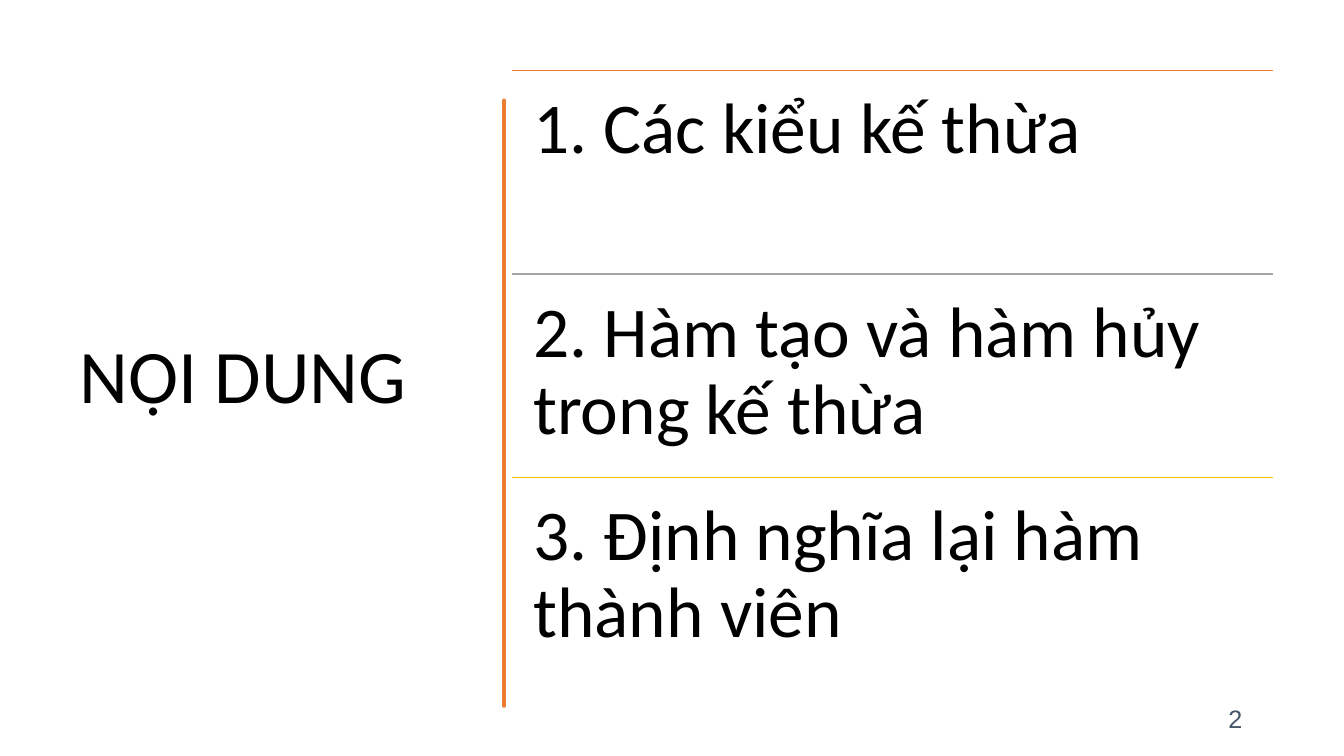
from dataclasses import dataclass
from lxml import etree
from pptx import Presentation
from pptx.dml.color import RGBColor
from pptx.enum.shapes import MSO_CONNECTOR
from pptx.enum.text import MSO_ANCHOR, MSO_AUTO_SIZE, PP_ALIGN
from pptx.oxml.ns import qn
from pptx.util import Inches, Pt


@dataclass(frozen=True)
class Theme:
    text: str = "000000"
    number: str = "44546A"
    orange: str = "ED7D31"
    grey: str = "A5A5A5"
    gold: str = "FFC000"
    heading_font: str = "Calibri"
    number_font: str = "Arial"
    title_size: int = 54
    item_size: int = 51
    number_size: int = 18


THEME = Theme()


def write(shape, text, font, size, color, align, anchor, inset):
    frame = shape.text_frame
    frame.word_wrap = True
    frame.auto_size = MSO_AUTO_SIZE.NONE
    frame.vertical_anchor = anchor
    frame.margin_left = frame.margin_right = Inches(inset[0])
    frame.margin_top = frame.margin_bottom = Inches(inset[1])
    paragraph = frame.paragraphs[0]
    paragraph.alignment = align
    paragraph.line_spacing = 0.9
    run = paragraph.add_run()
    run.text = text
    run.font.name = font
    run.font.size = Pt(size)
    run.font.color.rgb = RGBColor.from_string(color)


prs = Presentation()
prs.slide_width, prs.slide_height = Inches(13.33), Inches(7.5)
slide = prs.slides.add_slide(prs.slide_layouts[5])

TOP = 0.7
ROW_HEIGHT = 2.02
LIST_LEFT, LIST_WIDTH = 5.08, 7.55
DEFAULT_INSET = (0.1, 0.05)

title = slide.shapes.title
title.left, title.top = Inches(0.69), Inches(TOP)
title.width, title.height = Inches(3.74), Inches(6.11)
write(title, "NỌI DUNG", THEME.heading_font, THEME.title_size, THEME.text,
      PP_ALIGN.LEFT, MSO_ANCHOR.MIDDLE, DEFAULT_INSET)

BAR_TOP, BAR_HEIGHT = 0.84, 5.92
left_edge = [4.73, 4.74, 4.73, 4.72, 4.73, 4.73, 4.72, 4.73,
             4.72, 4.73, 4.73, 4.73, 4.72, 4.73, 4.72, 4.73, 4.73]
right_edge = [4.75, 4.76, 4.76, 4.74, 4.75, 4.75, 4.75, 4.76,
              4.75, 4.76, 4.74, 4.75, 4.76, 4.76, 4.75, 4.75, 4.75]
step = BAR_HEIGHT / (len(right_edge) - 1)
down = [(x, BAR_TOP + i * step) for i, x in enumerate(right_edge)]
up = [(x, BAR_TOP + i * step) for i, x in enumerate(left_edge)][::-1]
builder = slide.shapes.build_freeform(*down[0], scale=Inches(1))
builder.add_line_segments(down[1:] + up, close=True)
bar = builder.convert_to_shape()
bar.shadow.inherit = False
bar.fill.solid()
bar.fill.fore_color.rgb = RGBColor.from_string(THEME.orange)
bar.line.color.rgb = RGBColor.from_string(THEME.orange)
bar.line.width = Pt(3.25)
etree.SubElement(bar.line._get_or_add_ln(), qn("a:round"))

number = slide.shapes.add_textbox(Inches(9.42), Inches(6.95), Inches(3), Inches(0.4))
write(number, "2", THEME.number_font, THEME.number_size, THEME.number,
      PP_ALIGN.RIGHT, MSO_ANCHOR.MIDDLE, DEFAULT_INSET)

items = [
    ("1. Các kiểu kế thừa", THEME.orange),
    ("2. Hàm tạo và hàm hủy trong kế thừa", THEME.grey),
    ("3. Định nghĩa lại hàm thành viên", THEME.gold),
]
for row, (text, color) in enumerate(items):
    left, top = Inches(LIST_LEFT), Inches(TOP + row * ROW_HEIGHT)
    width = Inches(LIST_WIDTH)
    rule = slide.shapes.add_connector(MSO_CONNECTOR.STRAIGHT, left, top, left + width, top)
    rule.line.color.rgb = RGBColor.from_string(color)
    rule.line.width = Pt(1)
    etree.SubElement(rule._element.spPr, qn("a:effectLst"))
    item = slide.shapes.add_textbox(left, top, width, Inches(ROW_HEIGHT))
    write(item, text, THEME.heading_font, THEME.item_size, THEME.text,
          PP_ALIGN.LEFT, MSO_ANCHOR.TOP, (0.21, 0.21))

prs.save("out.pptx")
